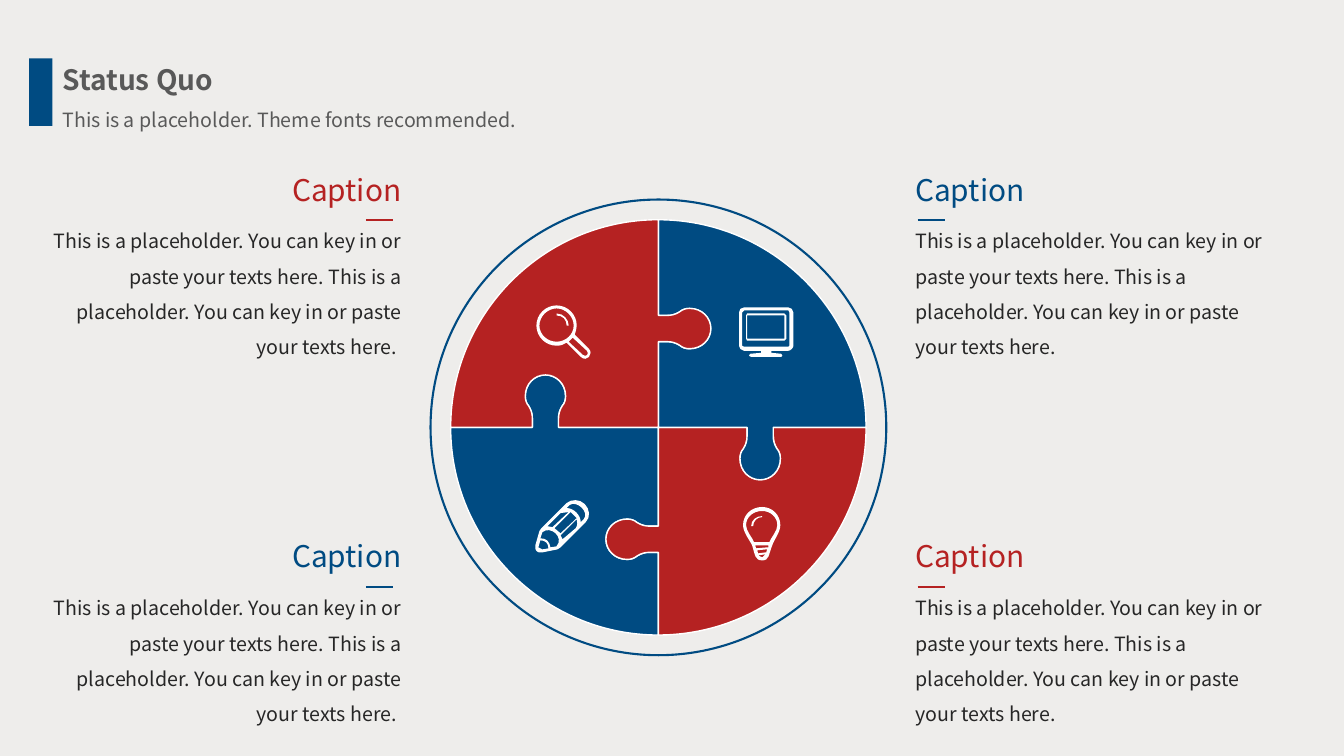
"""Build the Status Quo slide: a four-piece puzzle circle with captions and icons."""
from lxml import etree
from pptx import Presentation
from pptx.dml.color import RGBColor
from pptx.enum.shapes import MSO_CONNECTOR, MSO_SHAPE
from pptx.enum.text import MSO_AUTO_SIZE, PP_ALIGN
from pptx.oxml.ns import qn
from pptx.util import Inches, Pt

STRAIGHT = MSO_CONNECTOR.STRAIGHT
RECTANGLE, OVAL = MSO_SHAPE.RECTANGLE, MSO_SHAPE.OVAL
FIT_SHAPE = MSO_AUTO_SIZE.SHAPE_TO_FIT_TEXT
LEFT, RIGHT = PP_ALIGN.LEFT, PP_ALIGN.RIGHT

THEME = {
    "font": "Noto Sans CJK SC",
    "blue": "004B82", "red": "B52222", "white": "FFFFFF",
    "background": "EEEDEB", "heading": "595959", "body": "262626",
    "title_size": 20, "caption_size": 21.3, "body_size": 14,
    "piece_line": 1, "rule_line": 1.5,
}

TITLE = "Status Quo"
SUBTITLE = "This is a placeholder. Theme fonts recommended."
CAPTION = "Caption"
BODY = "This is a placeholder. You can key in or paste your texts here. " \
       "This is a placeholder. You can key in or paste your texts here."

CAPTION_BLOCKS = [
    (RIGHT, 1.65, "red"), (RIGHT, 5.29, "blue"),
    (LEFT, 5.29, "red"), (LEFT, 1.65, "blue"),
]
SIDES = {
    RIGHT: {"caption": 2.75, "body": 0.38, "rule": 3.63, "ending": " "},
    LEFT: {"caption": 8.98, "body": 8.98, "rule": 9.1, "ending": ""},
}

CENTRE = (6.53, 4.24)
RADIUS = 2.06
RING_RADIUS = 2.26
ARC_PULL = 0.55
DIRECTIONS = [(0, -1), (1, 0), (0, 1), (-1, 0)]
KNOB_DISTANCES = [0.98, 1.01, 1.11, 1.12]
PIECE_COLOURS = ["blue", "red", "blue", "red"]

KNOB = ("M -13 0 L -13 9 C -13 13 -14 17 -16.5 21 C -19 24 -20 27 -20 31 "
        "C -20 43 -11 52 0 52 C 11 52 20 43 20 31 C 20 27 19 24 16.5 21 "
        "C 14 17 13 13 13 9 L 13 0")

PENCIL = """
M 48 19 L 45 22 C 45 15 38 8 31 8 L 34 5 C 41 0 54 12 48 19
M 15 47 C 14 41 11 38 5 38 L 7 32 C 15 25 29 37 21 46
M 7 49 L 3 47 L 5 40 C 10 40 13 43 13 48
M 17 27 L 12 26 L 25 13 L 33 12
M 25 33 L 19 28 L 35 12 L 41 18
M 27 39 L 25 35 L 41 19 C 42 22 42 25 40 28
M 49 4 C 44 -1 36 -1 31 3 L 6 28 L 4 31 L 0 45 C -1 50 2 53 7 52
L 22 49 L 25 47 L 50 22 C 55 17 54 9 49 4"""
BULB = """
M 26 35 L 11 35 C 9 30 3 24 3 18 C 3 10 10 4 19 4 C 27 4 34 10 34 18
C 34 24 28 30 26 35
M 19 50 L 15 48 L 22 47
M 13 41 L 12 38 L 25 38 L 25 40
M 23 45 L 15 46 L 14 43 L 24 42
M 19 0 C 8 0 0 8 0 18 C 0 25 6 32 9 38 C 12 48 12 53 19 53
C 26 53 25 48 29 38 C 31 32 37 25 37 18 C 37 8 29 0 19 0"""
BULB_GLINT = "M 19 9 C 13 9 8 13 8 19 L 10 19 C 10 14 14 10 19 10"
MAGNIFIER = """
M 20 36 C 29 36 37 29 37 20 C 37 11 29 3 20 3 C 11 3 3 11 3 20 C 3 29 11 36 20 36
M 46 49 C 49 52 53 48 50 45 L 36 32 L 32 36
M 20 0 C 31 0 40 9 40 20 C 40 23 39 26 38 29 L 52 43 C 57 48 50 57 44 51
L 30 37 C 27 39 24 40 20 40 C 9 40 0 31 0 20 C 0 9 9 0 20 0"""
MAGNIFIER_GLINT = "M 20 8 C 27 8 32 14 32 20 L 30 20 C 30 14 26 10 20 10"
SCREEN = """
M 45 31 L 8 31 L 8 8 L 45 8
M 45 6 L 8 6 L 7 8 L 7 31 L 8 33 L 45 33 L 47 31 L 47 8"""
MONITOR = """
M 50 38 L 49 39 L 5 39 L 3 38 L 3 5 L 5 3 L 49 3 L 50 5
M 49 0 L 5 0 C 2 0 0 2 0 5 L 0 38 C 0 40 2 43 5 43 L 22 43 L 22 45 L 11 46
L 10 48 L 12 49 L 42 49 L 43 48 L 42 46 L 32 45 L 32 43 L 49 43
C 51 43 54 40 54 38 L 54 5 C 54 2 51 0 49 0"""
ICONS = [
    (5.31, 4.96, [PENCIL]), (7.37, 5.03, [BULB, BULB_GLINT]),
    (5.32, 3.03, [MAGNIFIER, MAGNIFIER_GLINT]), (7.33, 3.05, [SCREEN, MONITOR]),
]


def colour(name):
    return RGBColor.from_string(THEME[name])


def trace(outline):
    """Turn an outline in hundredths of an inch into contours of segments in inches."""
    tokens, contours = iter(outline.split()), []
    for command in tokens:
        points = [(float(next(tokens)) / 100, float(next(tokens)) / 100)
                  for _ in range(3 if command == "C" else 1)]
        if command == "M":
            contours.append([])
        contours[-1].append(points)
    return contours


def backwards(segments):
    points = iter([point for segment in segments for point in segment][::-1])
    sizes = [1] + [len(segment) for segment in segments[:0:-1]]
    return [[next(points) for _ in range(size)] for size in sizes]


def paint(shape, fill=None, line=None, width=1):
    shape.shadow.inherit = False
    for part, name in ((shape.fill, fill), (shape.line.fill, line)):
        if name:
            part.solid()
            part.fore_color.rgb = colour(name)
        else:
            part.background()
    if line:
        shape.line.width = Pt(width)


def add_outline(slide, contours, left=0, top=0, **style):
    placed = [[[(Inches(left + x), Inches(top + y)) for x, y in segment]
               for segment in contour] for contour in contours]
    builder = slide.shapes.build_freeform(*placed[0][0][0])
    for index, contour in enumerate(placed):
        if index:
            builder.move_to(*contour[0][0])
        builder.add_line_segments([segment[-1] for segment in contour[1:]], close=True)
    shape = builder.convert_to_shape()
    segments = [segment for contour in placed for segment in contour[1:]]
    for element, segment in zip(list(shape._element.iter(qn("a:lnTo"))), segments):
        if len(segment) == 3:
            element.tag = qn("a:cubicBezTo")
            for position, (x, y) in enumerate(segment[:2]):
                control = etree.Element(qn("a:pt"), x=str(x - shape.left), y=str(y - shape.top))
                element.insert(position, control)
    paint(shape, **style)


def add_text(slide, text, box, size, ink, align=LEFT, bold=False, spacing=None, wrap=True):
    shape = slide.shapes.add_textbox(*map(Inches, box))
    frame = shape.text_frame
    frame.word_wrap, frame.auto_size = wrap, FIT_SHAPE
    paragraph = frame.paragraphs[0]
    paragraph.alignment, paragraph.line_spacing = align, spacing
    run = paragraph.add_run()
    run.text = text
    run.font.name, run.font.size, run.font.bold = THEME["font"], Pt(THEME[size]), bold
    run.font.color.rgb = colour(ink)


def from_centre(index, out, side):
    """Place a point by its distance along a direction and clockwise of it."""
    ahead, across = DIRECTIONS[index], DIRECTIONS[(index + 1) % 4]
    return tuple(c + out * a + side * b for c, a, b in zip(CENTRE, ahead, across))


def seam(index):
    profile = [[(0, 0)]]
    profile += [[(KNOB_DISTANCES[index] + u, v) for u, v in segment]
                for segment in trace(KNOB)[0]]
    profile.append([(RADIUS, 0)])
    return [[from_centre(index, *point) for point in segment] for segment in profile]


def puzzle_piece(index):
    pull = RADIUS * ARC_PULL
    rim = [from_centre(index, *point)
           for point in ((RADIUS, pull), (pull, RADIUS), (0, RADIUS))]
    return seam(index) + [rim] + backwards(seam((index + 1) % 4))[1:-1]


def add_caption_block(slide, align, top, ink):
    side = SIDES[align]
    add_text(slide, CAPTION, (side["caption"], top, 1.33, 0.46), "caption_size", ink,
             align=align, wrap=False)
    add_text(slide, BODY + side["ending"], (side["body"], top + 0.46, 3.7, 1.45),
             "body_size", "body", align=align, spacing=1.5)
    rule_top = Inches(top + 0.53)
    rule = slide.shapes.add_connector(STRAIGHT, Inches(side["rule"]), rule_top,
                                      Inches(side["rule"] + 0.27), rule_top)
    rule.line.color.rgb, rule.line.width = colour(ink), Pt(THEME["rule_line"])
    etree.SubElement(rule._element.spPr, qn("a:effectLst"))


def main():
    presentation = Presentation()
    presentation.slide_width, presentation.slide_height = Inches(13.33), Inches(7.5)
    slide = presentation.slides.add_slide(presentation.slide_layouts[6])
    slide.background.fill.solid()
    slide.background.fill.fore_color.rgb = colour("background")

    marker = slide.shapes.add_shape(RECTANGLE, *map(Inches, (0.29, 0.58, 0.23, 0.67)))
    paint(marker, fill="blue")
    for index in (2, 1, 0, 3):
        add_outline(slide, [puzzle_piece(index)], fill=PIECE_COLOURS[index], line="white",
                    width=THEME["piece_line"])
    ring_box = (*(c - RING_RADIUS for c in CENTRE), 2 * RING_RADIUS, 2 * RING_RADIUS)
    ring = slide.shapes.add_shape(OVAL, *map(Inches, ring_box))
    paint(ring, line="blue", width=THEME["rule_line"])
    for block in CAPTION_BLOCKS:
        add_caption_block(slide, *block)
    for left, top, outlines in ICONS:
        for outline in outlines:
            add_outline(slide, trace(outline), left, top, fill="white")
    add_text(slide, TITLE, (0.52, 0.57, 4.92, 0.44), "title_size", "heading", bold=True)
    add_text(slide, SUBTITLE, (0.52, 0.9, 6.68, 0.38), "body_size", "heading", spacing=1.5)
    presentation.save("out.pptx")


if __name__ == "__main__":
    main()
